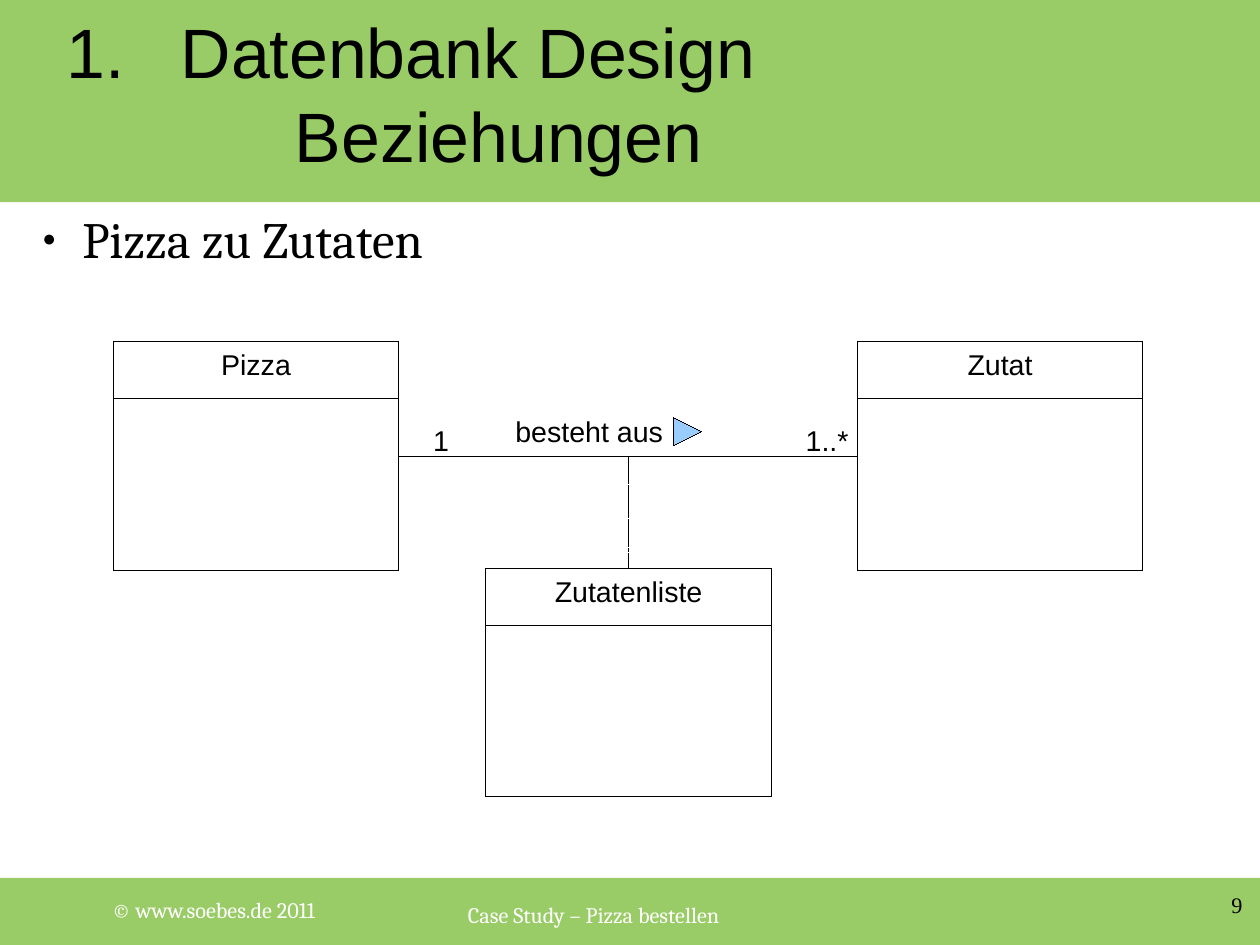
from lxml import etree
from pptx import Presentation
from pptx.dml.color import RGBColor
from pptx.enum.dml import MSO_LINE
from pptx.enum.shapes import MSO_CONNECTOR, MSO_SHAPE
from pptx.enum.text import MSO_ANCHOR as ANCHOR, MSO_AUTO_SIZE as AUTO, PP_ALIGN as ALIGN
from pptx.oxml.ns import qn
from pptx.util import Inches, Pt

THEME = {
    "band": RGBColor.from_string("99CC66"),
    "arrow": RGBColor.from_string("99CCFF"),
    "ink": RGBColor.from_string("000000"),
    "light": RGBColor.from_string("FFFFFF"),
    "title": 44, "body": 32, "label": 18, "footer": 14,
    "sans": "Arial", "serif": "Cambria", "number": "Times New Roman",
}
CM_PER_INCH = 2.54

prs = Presentation()
prs.slide_width, prs.slide_height = Inches(28 / CM_PER_INCH), Inches(21 / CM_PER_INCH)
s = prs.slides.add_slide(prs.slide_layouts[6])
outlined = []


def add_text(text, box, size="label", font="sans", color="ink", inset=(0.1, 0.05),
             frame=None, para=None):
    """Add a one-paragraph text box; frame and para hold attributes to set."""
    tf = s.shapes.add_textbox(*map(Inches, box)).text_frame
    tf.margin_left = tf.margin_right = Inches(inset[0])
    tf.margin_top = tf.margin_bottom = Inches(inset[1])
    for name, value in {"word_wrap": True, **(frame or {})}.items():
        setattr(tf, name, value)
    p = tf.paragraphs[0]
    for name, value in (para or {}).items():
        setattr(p, name, value)
    for i, line in enumerate(text.split("\n")):
        if i:
            p.add_line_break()
        r = p.add_run()
        r.text = line
        r.font.name, r.font.size = THEME[font], Pt(THEME[size])
        r.font.color.rgb = THEME[color]
    return p


def add_line(x1, y1, x2, y2):
    line = s.shapes.add_connector(MSO_CONNECTOR.STRAIGHT, *map(Inches, (x1, y1, x2, y2)))
    outlined.append(line)
    return line


# Bands and footer
for top, height in ((0, 1.77), (7.68, 0.59)):
    sp = s.shapes.add_shape(MSO_SHAPE.RECTANGLE, 0, Inches(top), prs.slide_width, Inches(height))
    sp.shadow.inherit = False
    sp.fill.solid()
    sp.fill.fore_color.rgb = THEME["band"]
    sp.line.fill.background()

add_text("© www.soebes.de 2011", (0.88, 7.79, 2.33, 0.35), "footer", "serif", "light",
         frame={"word_wrap": False, "vertical_anchor": ANCHOR.MIDDLE,
                "auto_size": AUTO.SHAPE_TO_FIT_TEXT},
         para={"line_spacing": 0.96})
add_text("Case Study – Pizza bestellen", (2.6, 7.79, 5.19, 0.32), "footer", "serif", "light",
         frame={"word_wrap": False}, para={"alignment": ALIGN.CENTER, "line_spacing": 1.19})
add_text("9", (8.3, 7.8, 2.57, 0.27), "footer", "number", inset=(0, 0),
         para={"alignment": ALIGN.RIGHT})

# Title and bullet
p = add_text("1.\tDatenbank Design\n\t\tBeziehungen", (0.58, 0.12, 9.92, 1.38), "title",
             inset=(0, 0), frame={"vertical_anchor": ANCHOR.MIDDLE})
tabs = etree.SubElement(p._p.get_or_add_pPr(), qn("a:tabLst"))
for stop in (1, 2):
    etree.SubElement(tabs, qn("a:tab"), pos=str(Inches(stop)), algn="l")

p = add_text("Pizza zu Zutaten", (0.25, 1.82, 10.5, 5.46), "body", "serif", inset=(0, 0),
             para={"space_after": Pt(14.2)})
pPr = p._p.get_or_add_pPr()
pPr.set("marL", str(Inches(0.47)))
pPr.set("indent", str(Inches(-0.35)))
etree.SubElement(pPr, qn("a:buSzPct"), val="45000")
etree.SubElement(pPr, qn("a:buFont"), typeface=THEME["sans"])
etree.SubElement(pPr, qn("a:buChar"), char="●")

# Classes
CLASS_W, CLASS_H, HEAD_H = 2.5, 2, 0.5
classes = {}
for name, x, y in (("Pizza", 0.99, 2.99), ("Zutat", 7.5, 2.99), ("Zutatenliste", 4.25, 4.97)):
    sp = s.shapes.add_shape(MSO_SHAPE.RECTANGLE, *map(Inches, (x, y, CLASS_W, CLASS_H)))
    sp.fill.background()
    classes[name] = sp
    outlined.append(sp)
    add_line(x, y + HEAD_H, x + CLASS_W, y + HEAD_H)
    add_text(name, (x, y, CLASS_W, 0.38), para={"alignment": ALIGN.CENTER})

# Association and its class
association = add_line(3.49, 3.99, 7.5, 3.99)
association.begin_connect(classes["Pizza"], 3)
association.end_connect(classes["Zutat"], 1)
link = add_line(5.5, 3.99, 5.5, 4.97)
link.end_connect(classes["Zutatenliste"], 0)
link.line.dash_style = MSO_LINE.SQUARE_DOT

for text, x, y, width in (("1", 3.69, 3.65, 0.25), ("1..*", 6.95, 3.65, 0.75),
                          ("besteht aus", 4.41, 3.57, 1.72)):
    add_text(text, (x, y, width, 0.38))

arrow = s.shapes.add_shape(MSO_SHAPE.ISOSCELES_TRIANGLE, *map(Inches, (5.89, 3.65, 0.25, 0.25)))
arrow.rotation = 90
arrow.fill.solid()
arrow.fill.fore_color.rgb = THEME["arrow"]
outlined.append(arrow)

# Hairlines: the theme's line style would override a zero width
for sp in outlined:
    sp.line.color.rgb, sp.line.width = THEME["ink"], Pt(0)
    etree.SubElement(sp.element.spPr, qn("a:effectLst"))
    sp.element.remove(sp.element.find(qn("p:style")))

prs.save("out.pptx")
